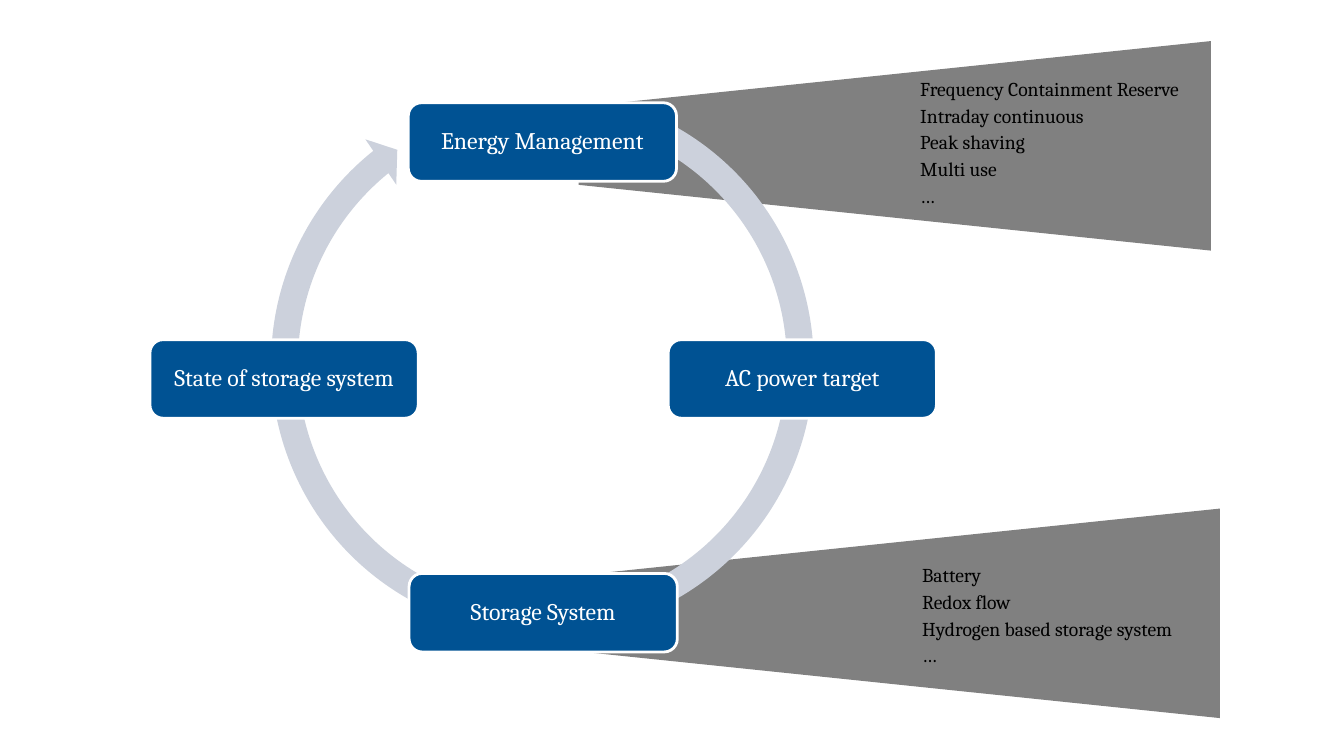
from pptx import Presentation
from pptx.dml.color import RGBColor
from pptx.enum.shapes import MSO_SHAPE
from pptx.enum.text import MSO_ANCHOR, MSO_AUTO_SIZE, PP_ALIGN
from pptx.util import Cm, Pt

COLORS = {"blue": "005293", "ring": "CCD1DC", "gray": "808080",
          "white": "FFFFFF", "black": "000000"}


class CycleSlide:
    font = "Cambria"
    node_size = (6.76, 1.98)
    beam_size = (5.28, 15.93)

    def __init__(self, presentation):
        self.slide = presentation.slides.add_slide(presentation.slide_layouts[6])

    def color(self, name):
        return RGBColor.from_string(COLORS[name])

    def shape(self, kind, left, top, width, height, fill):
        shape = self.slide.shapes.add_shape(
            kind, Cm(left), Cm(top), Cm(width), Cm(height))
        shape.shadow.inherit = False
        shape.fill.solid()
        shape.fill.fore_color.rgb = self.color(fill)
        shape.line.fill.background()
        return shape

    def add_text(self, paragraph, text, size, color, spacing):
        paragraph.line_spacing = spacing
        run = paragraph.add_run()
        run.text = text
        run.font.name = self.font
        run.font.size = Pt(size)
        run.font.color.rgb = self.color(color)

    def inset(self, frame, margin):
        frame.margin_left = frame.margin_right = Cm(margin)
        frame.margin_top = frame.margin_bottom = Cm(margin)

    def beam(self, left, top):
        """Trapezoid turned so that it widens to the right."""
        beam = self.shape(MSO_SHAPE.TRAPEZOID, left, top, *self.beam_size, "gray")
        beam.adjustments[0] = 0.314
        beam.rotation = 270

    def ring(self, left, top, diameter):
        ring = self.shape(MSO_SHAPE.CIRCULAR_ARROW, left, top,
                          diameter, diameter, "ring")
        for index, value in enumerate((0.047, 2.73, 138.73, 173.62, 0.048)):
            ring.adjustments[index] = value

    def node(self, left, top, text):
        node = self.shape(MSO_SHAPE.ROUNDED_RECTANGLE, left, top,
                          *self.node_size, "blue")
        node.line.color.rgb = self.color("white")
        node.line.width = Pt(2)
        frame = node.text_frame
        frame.word_wrap = True
        frame.vertical_anchor = MSO_ANCHOR.MIDDLE
        self.inset(frame, 0.18)
        paragraph = frame.paragraphs[0]
        paragraph.alignment = PP_ALIGN.CENTER
        self.add_text(paragraph, text, 17, "white", 0.9)

    def examples(self, left, top, width, height, lines):
        box = self.slide.shapes.add_textbox(
            Cm(left), Cm(top), Cm(width), Cm(height))
        frame = box.text_frame
        frame.word_wrap = False
        frame.auto_size = MSO_AUTO_SIZE.SHAPE_TO_FIT_TEXT
        self.inset(frame, 0)
        for index, line in enumerate(lines):
            paragraph = frame.add_paragraph() if index else frame.paragraphs[0]
            self.add_text(paragraph, line, 14, "black", 1.14)


def main():
    presentation = Presentation()
    presentation.slide_width = Cm(33.87)
    presentation.slide_height = Cm(19.05)
    cycle = CycleSlide(presentation)

    # Beams behind the cycle
    cycle.beam(20.14, 7.49)
    cycle.beam(19.91, -4.29)

    # Cycle with its four stations
    cycle.ring(6.48, 1.96, 14.38)
    for left, top, text in (
        (10.29, 2.59, "Energy Management"),
        (16.84, 8.56, "AC power target"),
        (10.31, 14.45, "Storage System"),
        (3.78, 8.56, "State of storage system"),
    ):
        cycle.node(left, top, text)

    # Examples on the beams
    cycle.examples(23.19, 1.85, 7.21, 3.38, (
        "Frequency Containment Reserve", "Intraday continuous",
        "Peak shaving", "Multi use", "…"))
    cycle.examples(23.24, 14.1, 7.06, 2.69, (
        "Battery", "Redox flow", "Hydrogen based storage system", "…"))

    presentation.save("out.pptx")


if __name__ == "__main__":
    main()
